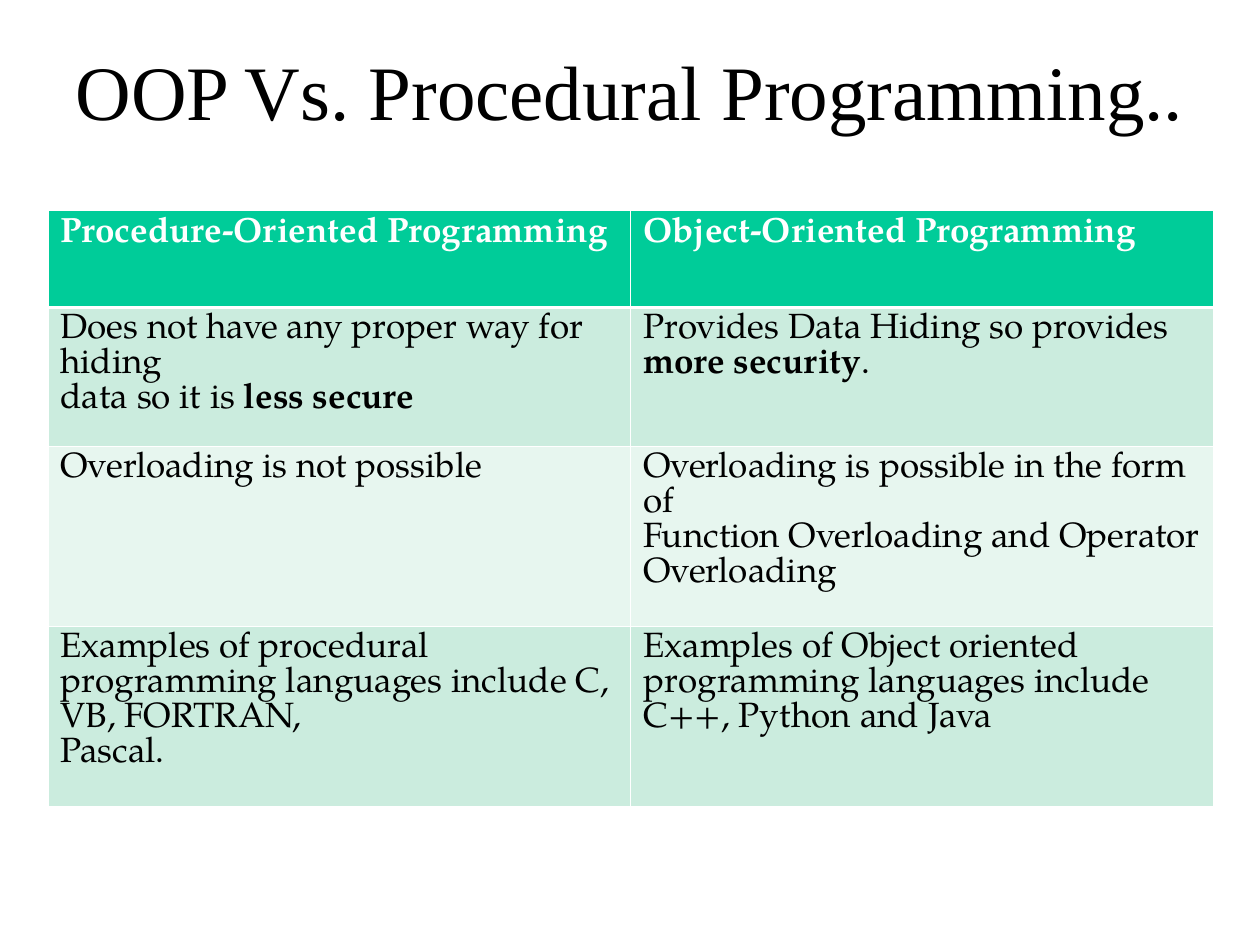
import pptx
import pptx.dml.color
import pptx.enum.text
import pptx.oxml
import pptx.oxml.ns
import pptx.util


def color(hex_string):
    return pptx.dml.color.RGBColor.from_string(hex_string)


class ComparisonSlide:
    title_font = "Times New Roman"
    table_font = "TeX Gyre Pagella"
    title_size = 44
    table_size = 20
    black = "000000"
    white = "FFFFFF"
    header_fill = "00CC99"
    band_fills = ("CBECDE", "E7F6EF")
    thin, thick = 0.45, 1.47

    def __init__(self, deck):
        self.width, self.height = deck.slide_width, deck.slide_height
        self.page = deck.slides.add_slide(deck.slide_layouts[5])

    def place(self, left, top, width, height):
        return (int(left * self.width), int(top * self.height),
                int(width * self.width), int(height * self.height))

    def add_span(self, para, text, font, size, fill, bold=False):
        span = para.add_run()
        span.text = text
        span.font.name = font
        span.font.size = pptx.util.Pt(size)
        span.font.color.rgb = color(fill)
        span.font.bold = bold

    def title(self, text, *shares):
        box = self.page.shapes.title
        box.left, box.top, box.width, box.height = self.place(*shares)
        frame = box.text_frame
        frame.word_wrap = True
        frame.auto_size = pptx.enum.text.MSO_AUTO_SIZE.NONE
        frame.vertical_anchor = pptx.enum.text.MSO_ANCHOR.MIDDLE
        para = frame.paragraphs[0]
        para.alignment = pptx.enum.text.PP_ALIGN.CENTER
        self.add_span(para, text, self.title_font, self.title_size, self.black)

    def borders(self, cell, **widths):
        properties = cell._tc.get_or_add_tcPr()
        for side in "LRTB":
            width = pptx.util.Pt(widths.get(side, self.thin))
            properties.append(pptx.oxml.parse_xml(
                f'<a:ln{side} {pptx.oxml.ns.nsdecls("a")} w="{width}">'
                f'<a:solidFill><a:srgbClr val="{self.white}"/></a:solidFill>'
                f'</a:ln{side}>'))

    def fill_cell(self, cell, paragraphs, row):
        header = row == 0
        if header:
            self.borders(cell, B=self.thick)
        elif row == 1:
            self.borders(cell, T=self.thick)
        else:
            self.borders(cell)
        cell.fill.solid()
        cell.fill.fore_color.rgb = color(
            self.header_fill if header else self.band_fills[(row - 1) % 2])
        frame = cell.text_frame
        for index, spans in enumerate(paragraphs):
            para = frame.add_paragraph() if index else frame.paragraphs[0]
            para.line_spacing = pptx.util.Pt(self.table_size)
            for text, bold in spans:
                self.add_span(para, text, self.table_font, self.table_size,
                              self.white if header else self.black, bold)

    def table(self, rows, row_shares, left, top, width):
        count = len(rows[0])
        frame = self.page.shapes.add_table(
            len(rows), count, *self.place(left, top, width, sum(row_shares)))
        grid = frame.table
        for column in grid.columns:
            column.width = int(width * self.width / count)
        for row, (cells, share) in enumerate(zip(rows, row_shares)):
            grid.rows[row].height = int(share * self.height)
            for column, paragraphs in enumerate(cells):
                self.fill_cell(grid.cell(row, column), paragraphs, row)


def plain(*texts):
    return [[(text, False)] for text in texts]


def heading(text):
    return [[(text, True)]]


ROWS = [
    (heading("Procedure-Oriented Programming"),
     heading("Object-Oriented Programming")),
    (plain("Does not have any proper way for hiding")
     + [[("data so it is ", False), ("less secure", True)]],
     [[("Provides Data Hiding so provides ", False),
       ("more security", True), (".", False)]]),
    (plain("Overloading is not possible"),
     plain("Overloading is possible in the form of",
           "Function Overloading and Operator Overloading")),
    (plain("Examples of procedural programming languages include C, VB, FORTRAN,",
           "Pascal."),
     plain("Examples of Object oriented programming languages include "
           "C++, Python and Java")),
]


def main():
    deck = pptx.Presentation()
    deck.slide_width = pptx.util.Inches(10)
    deck.slide_height = pptx.util.Inches(7.5)
    slide = ComparisonSlide(deck)
    slide.title("OOP Vs. Procedural Programming..", 0, 0.17 / 7.5, 1, 1.08 / 7.5)
    row_shares = [height / 7.5 for height in (0.77, 1.1, 1.43, 1.43)]
    slide.table(ROWS, row_shares, 0.038, 1.67 / 7.5, 0.925)
    deck.save("out.pptx")


if __name__ == "__main__":
    main()
